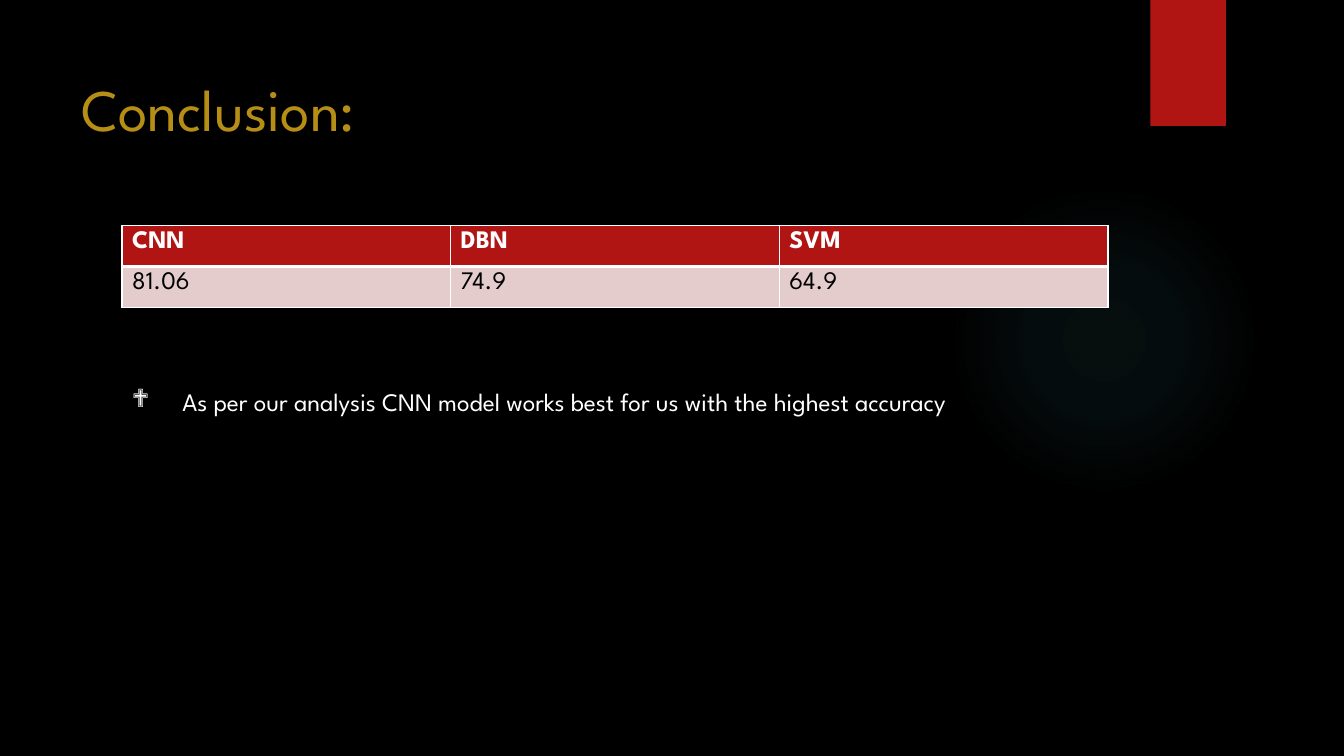
import lxml.etree
import pptx
import pptx.dml.color
import pptx.enum.shapes
import pptx.enum.text
import pptx.oxml
import pptx.oxml.ns
import pptx.util

WIDTH, HEIGHT = 13.33, 7.5
FONT = "League Spartan"
COLORS = {"back": "000000", "red": "B01513", "gold": "B68E15", "pale": "E4CCCC",
          "white": "FFFFFF", "black": "000000", "glow": "50B9C1"}
SCORES = {"CNN": "81.06", "DBN": "74.9", "SVM": "64.9"}
FINDING = "As per our analysis CNN model works best for us with the highest accuracy"
CONTENT_LEFT, CONTENT_WIDTH = 1.21, 9.78


def inches(*lengths):
    """Convert lengths in inches to slide units."""
    return [pptx.util.Inches(length) for length in lengths]


def rgb(name):
    """Look up a named colour."""
    return pptx.dml.color.RGBColor.from_string(COLORS[name])


def xml(markup):
    """Parse a DrawingML element."""
    return pptx.oxml.parse_xml(markup.replace(" ", f" {pptx.oxml.ns.nsdecls('a')} ", 1))


def write(para, text, color, size, bold=False):
    """Put one formatted span in a paragraph."""
    span = para.add_run()
    span.text = text
    for name, value in {"name": FONT, "size": pptx.util.Pt(size), "bold": bold}.items():
        setattr(span.font, name, value)
    span.font.color.rgb = rgb(color)


def add_text(page, box, text, color, size, top_margin=0.05):
    """Add a wrapped text box and return its paragraph."""
    frame = page.shapes.add_textbox(*inches(*box)).text_frame
    formats = {"word_wrap": True, "margin_top": pptx.util.Inches(top_margin),
               "vertical_anchor": pptx.enum.text.MSO_ANCHOR.TOP}
    for name, value in formats.items():
        setattr(frame, name, value)
    write(frame.paragraphs[0], text, color, size)
    return frame.paragraphs[0]


def add_plain_shape(page, kind, box):
    """Add a preset shape without line or shadow."""
    shape = page.shapes.add_shape(kind, *inches(*box))
    shape.shadow.inherit = False
    shape.line.fill.background()
    return shape


def add_backdrop(page, glow_box, ribbon_box):
    """Place the background, the faint glow and the red ribbon."""
    page.background.fill.solid()
    page.background.fill.fore_color.rgb = rgb("back")
    kinds = pptx.enum.shapes.MSO_SHAPE
    glow = add_plain_shape(page, kinds.OVAL, glow_box)
    stops = "".join(
        f'<a:gs pos="{place * 1000}"><a:srgbClr val="{COLORS["glow"]}">'
        f'<a:alpha val="{alpha * 1000}"/></a:srgbClr></a:gs>'
        for place, alpha in ((0, 7), (36, 6), (69, 0)))
    gradient = xml(f'<a:gradFill rotWithShape="1"><a:gsLst>{stops}</a:gsLst>'
                   '<a:path path="circle"><a:fillToRect l="50000" t="50000" '
                   'r="50000" b="50000"/></a:path></a:gradFill>')
    glow.element.spPr.find(pptx.oxml.ns.qn("a:prstGeom")).addnext(gradient)
    ribbon = add_plain_shape(page, kinds.RECTANGLE, ribbon_box)
    ribbon.fill.solid()
    ribbon.fill.fore_color.rgb = rgb("red")


def style_cell(cell, fill, bottom):
    """Fill a cell and draw its white borders."""
    cell.fill.solid()
    cell.fill.fore_color.rgb = rgb(fill)
    edges = {"lnL": 1, "lnR": 1, "lnT": 1, "lnB": bottom}
    properties = cell._tc.get_or_add_tcPr()
    for index, (edge, width) in enumerate(edges.items()):
        properties.insert(index, xml(
            f'<a:{edge} w="{pptx.util.Pt(width)}"><a:solidFill>'
            f'<a:srgbClr val="{COLORS["white"]}"/></a:solidFill></a:{edge}>'))


def add_scores(page, box):
    """Place the table of model scores."""
    rows = [(list(SCORES), "red", "white", True, 3),
            (list(SCORES.values()), "pale", "black", False, 1)]
    table = page.shapes.add_table(len(rows), len(SCORES), *inches(*box)).table
    for row, (texts, fill, color, bold, bottom) in enumerate(rows):
        for column, text in enumerate(texts):
            cell = table.cell(row, column)
            style_cell(cell, fill, bottom)
            write(cell.text_frame.paragraphs[0], text, color, 18, bold)
    for column in range(len(SCORES)):
        style = table.cell(1, column)._tc.tcPr.find(pptx.oxml.ns.qn("a:lnT"))
        style.set("w", str(pptx.util.Pt(3)))


def add_finding(page, box):
    """Place the bulleted finding."""
    para = add_text(page, box, FINDING, "white", 18)
    properties = para._p.get_or_add_pPr()
    indent = pptx.util.Inches(0.5)
    for name, value in {"marL": indent, "indent": -indent}.items():
        properties.set(name, str(value))
    properties.append(xml('<a:buFont typeface="Wingdings"/>'))
    properties.append(xml('<a:buChar char="❖"/>'))


def build_conclusion(deck):
    """Build the conclusion slide."""
    page = deck.slides.add_slide(deck.slide_layouts[6])
    add_backdrop(page, (9.41, 1.83, 3.08, 3.08), (11.41, 0, 0.75, HEIGHT / 6))
    add_text(page, (0.71, 0.5, 10.29, 1.53), "Conclusion:", "gold", 42, 0.22)
    add_scores(page, (CONTENT_LEFT, 2.24, CONTENT_WIDTH, 0.81))
    add_finding(page, (CONTENT_LEFT, 3.78, CONTENT_WIDTH, 0.4))


def main():
    """Create and save the deck."""
    deck = pptx.Presentation()
    deck.slide_width, deck.slide_height = inches(WIDTH, HEIGHT)
    build_conclusion(deck)
    deck.save("out.pptx")


if __name__ == "__main__":
    main()
